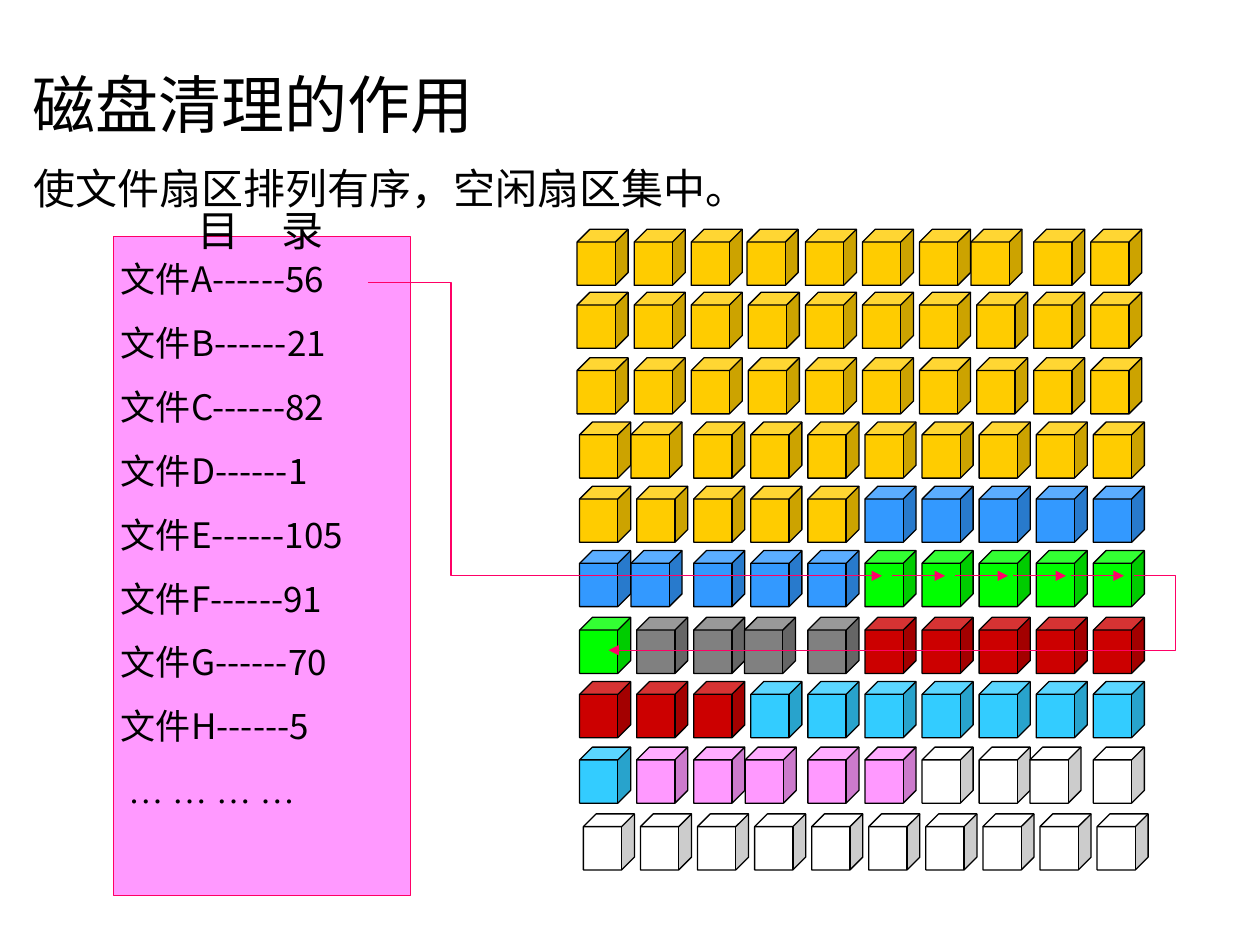
from lxml import etree
from pptx import Presentation
from pptx.dml.color import RGBColor
from pptx.enum.shapes import MSO_CONNECTOR, MSO_SHAPE
from pptx.enum.text import MSO_ANCHOR, MSO_AUTO_SIZE, PP_ALIGN
from pptx.oxml.ns import qn
from pptx.util import Inches, Pt

CUBE = MSO_SHAPE.CUBE
RECTANGLE = MSO_SHAPE.RECTANGLE
STRAIGHT = MSO_CONNECTOR.STRAIGHT
TOP, MIDDLE = MSO_ANCHOR.TOP, MSO_ANCHOR.MIDDLE
LEFT, CENTER = PP_ALIGN.LEFT, PP_ALIGN.CENTER
NO_AUTOFIT = MSO_AUTO_SIZE.NONE

GRID_COLUMNS, GRID_ROWS = 100, 75
SANS, SERIF = "Noto Sans CJK SC", "Times New Roman"
BLACK, PINK, MAGENTA = "000000", "FF99FF", "FF0066"

FILES = [("A", 56), ("B", 21), ("C", 82), ("D", 1),
         ("E", 105), ("F", 91), ("G", 70), ("H", 5)]
SECTOR_RUNS = [("FFCC00", 45), ("3399FF", 10), ("00FF00", 6), ("808080", 4),
               ("CC0000", 8), ("33CCFF", 8), (PINK, 5), ("FFFFFF", 14)]
SECTOR_ROWS = [(45.8, 18.2), (45.8, 23.2), (45.8, 28.4), (46, 33.5), (46, 38.6),
               (46, 43.7), (46, 49), (46, 54.1), (46, 59.3), (46.3, 64.6)]
SECTORS_PER_ROW = 10
SECTOR_PITCH = 4.53
SECTOR_NUDGES = {(0, 3): -0.1, (0, 7): -0.45, (3, 1): -0.45, (5, 1): -0.45,
                 (6, 3): -0.5, (8, 3): -0.45, (8, 8): -0.5}


def color(hex_string):
    return RGBColor.from_string(hex_string)


class Page:
    def __init__(self, deck):
        self.slide = deck.slides.add_slide(deck.slide_layouts[5])
        self.shapes = self.slide.shapes
        self.column = deck.slide_width / GRID_COLUMNS
        self.row = deck.slide_height / GRID_ROWS

    def point(self, x, y):
        return round(x * self.column), round(y * self.row)

    def area(self, x, y, width, height):
        return (*self.point(x, y), *self.point(width, height))

    def frame(self, box, anchor, margins):
        frame = box.text_frame
        frame.word_wrap = True
        frame.auto_size = NO_AUTOFIT
        frame.vertical_anchor = anchor
        (frame.margin_left, frame.margin_top,
         frame.margin_right, frame.margin_bottom) = map(Inches, margins)
        return frame

    def format(self, para, size, font=SANS, align=LEFT, spacing=None, before=0):
        para.alignment = align
        para.space_before = Pt(before)
        if spacing:
            para.line_spacing = Pt(spacing)
        for span in para.runs:
            span.font.size = Pt(size)
            span.font.bold = False
            span.font.name = font
            span.font.color.rgb = color(BLACK)
            properties = span.font._element
            etree.SubElement(properties, qn("a:ea")).set("typeface", SANS)

    def text(self, box, words, size, anchor=TOP, **style):
        frame = self.frame(box, anchor, (0.1, 0.05, 0.1, 0.05))
        frame.text = words
        self.format(frame.paragraphs[0], size, **style)

    def title(self, place, words, size, **style):
        box = self.shapes.title
        box.left, box.top, box.width, box.height = self.area(*place)
        self.text(box, words, size, **style)

    def label(self, place, words, size, **style):
        self.text(self.shapes.add_textbox(*self.area(*place)), words, size, **style)

    def solid(self, kind, place, fill, line):
        shape = self.shapes.add_shape(kind, *self.area(*place))
        shape.shadow.inherit = False
        shape.fill.solid()
        shape.fill.fore_color.rgb = color(fill)
        shape.line.color.rgb = color(line)
        shape.line.width = Pt(0.75)
        return shape

    def directory(self, place):
        panel = self.solid(RECTANGLE, place, PINK, MAGENTA)
        frame = self.frame(panel, MIDDLE, (0.06, 0, 0, 0.51))
        entries = [f"文件{name}------{sector}" for name, sector in FILES]
        frame.text = "\n".join(entries + ["… … … …"])
        for para in frame.paragraphs:
            self.format(para, 20, spacing=24, before=12.5)
        ellipsis = frame.paragraphs[-1]
        ellipsis.runs[0].font.name = SERIF
        ellipsis._p.get_or_add_pPr().set("marL", str(Inches(0.06)))

    def sectors(self):
        fills = [fill for fill, count in SECTOR_RUNS for _ in range(count)]
        for index, fill in enumerate(fills):
            row, column = divmod(index, SECTORS_PER_ROW)
            start, top = SECTOR_ROWS[row]
            left = start + column * SECTOR_PITCH + SECTOR_NUDGES.get((row, column), 0)
            self.solid(CUBE, (left, top, 4.05, 4.45), fill, BLACK)

    def arrowhead(self, shape):
        shape.line.color.rgb = color(MAGENTA)
        shape.line.width = Pt(0.75)
        properties = shape._element.spPr
        outline = properties.find(qn("a:ln"))
        etree.SubElement(outline, qn("a:tailEnd")).set("type", "triangle")

    def arrow(self, start, end):
        line = self.shapes.add_connector(STRAIGHT, *self.point(*start), *self.point(*end))
        self.arrowhead(line)
        etree.SubElement(line._element.spPr, qn("a:effectLst"))

    def route(self, *corners):
        start, *rest = [self.point(*corner) for corner in corners]
        builder = self.shapes.build_freeform(*start)
        builder.add_line_segments(rest, close=False)
        shape = builder.convert_to_shape()
        shape.fill.background()
        self.arrowhead(shape)
        shape.shadow.inherit = False


def main():
    deck = Presentation()
    deck.slide_width, deck.slide_height = Inches(10), Inches(7.5)
    page = Page(deck)
    page.title((1.6, 4.7, 40, 7), "磁盘清理的作用", 36, spacing=43.2)
    page.directory((9, 18.8, 23.6, 52.3))
    page.sectors()
    page.label((13, 15.7, 15.3, 5), "目　录", 24, anchor=MIDDLE, font=SERIF, align=CENTER)
    page.label((1.7, 13.2, 62, 4.2), "使文件扇区排列有序，空闲扇区集中。", 24, spacing=23)

    chain_y, next_y = 45.7, 51.6
    page.route((29.2, 22.4), (35.8, 22.4), (35.8, chain_y), (70, chain_y))
    for left in (70.8, 75.8, 80.4, 85):
        page.arrow((left, chain_y), (left + 4.2, chain_y))
    page.route((90, chain_y), (93.3, chain_y), (93.3, next_y), (48.3, next_y))
    deck.save("out.pptx")


if __name__ == "__main__":
    main()
